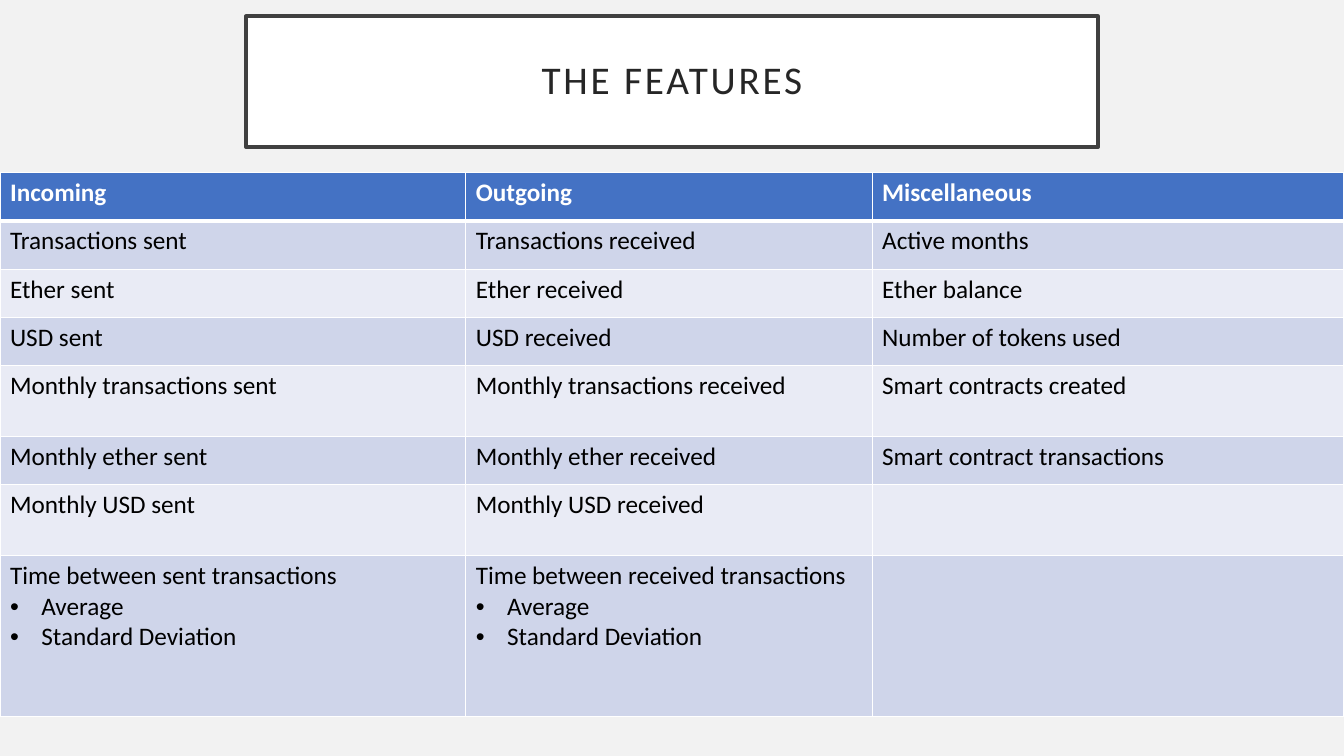
from dataclasses import dataclass

from lxml.etree import SubElement as Sub
from pptx import Presentation
from pptx.dml.color import RGBColor as RGB
from pptx.enum.text import MSO_ANCHOR as Anchor, MSO_AUTO_SIZE as Fit, PP_ALIGN as Align
from pptx.oxml.ns import qn
from pptx.table import _Cell as Cell
from pptx.text.text import TextFrame as Frame, _Paragraph as Para
from pptx.util import Inches, Pt

WIDE, HIGH = 13.33, 7.5
HUES = {
    "back": "F2F2F2", "white": "FFFFFF", "frame": "404040", "title": "262626",
    "head": "4472C4", "odd": "CFD5EA", "even": "E9EBF5", "text": "000000",
}
BULLET = "• "
STATS = (BULLET + "Average", BULLET + "Standard Deviation")
COLS = (4.62, 4.03, 4.68)


@dataclass(frozen=True)
class Row:
    cells: tuple[str, str, str]
    high: float = 0.48


ROWS = (
    Row(("Incoming", "Outgoing", "Miscellaneous")),
    Row(("Transactions sent", "Transactions received", "Active months")),
    Row(("Ether sent", "Ether received", "Ether balance")),
    Row(("USD sent", "USD received", "Number of tokens used")),
    Row(("Monthly transactions sent", "Monthly transactions received",
         "Smart contracts created"), 0.7),
    Row(("Monthly ether sent", "Monthly ether received", "Smart contract transactions")),
    Row(("Monthly USD sent", "Monthly USD received", ""), 0.7),
    Row(("\n".join(("Time between sent transactions", *STATS)),
         "\n".join(("Time between received transactions", *STATS)), ""), 1.6),
)


def hue(name: str) -> RGB:
    return RGB.from_string(HUES[name])


def indent(para: Para) -> None:
    """Give the paragraph a hanging bullet."""
    props = para._p.get_or_add_pPr()
    props.set("marL", str(Inches(0.31)))
    props.set("indent", str(-Inches(0.31)))
    Sub(props, qn("a:buFont"), typeface="Arial")
    Sub(props, qn("a:buChar"), char=BULLET.strip())


def write(frame: Frame, text: str, *, size: float = 18, color: str = "text",
          bold: bool = False, align: Align = Align.LEFT,
          line: float = 1.0, track: float = 0) -> None:
    for i, part in enumerate(text.split("\n")):
        para = frame.add_paragraph() if i else frame.paragraphs[0]
        para.alignment, para.line_spacing = align, line
        if part.startswith(BULLET):
            indent(para)
        run = para.add_run()
        run.text = part.removeprefix(BULLET)
        font = run.font
        font.name, font.size, font.bold = "Calibri", Pt(size), bold
        font.color.rgb = hue(color)
        if track:
            run._r.get_or_add_rPr().set("spc", str(int(track * 100)))


def edge(cell: Cell, **widths: float) -> None:
    """Draw white cell borders, given in points by side."""
    props = cell._tc.get_or_add_tcPr()
    for side, width in widths.items():
        line = Sub(props, qn(f"a:ln{side}"), w=str(Pt(width)))
        Sub(Sub(line, qn("a:solidFill")), qn("a:srgbClr"), val=HUES["white"])


def main() -> None:
    deck = Presentation()
    deck.slide_width, deck.slide_height = Inches(WIDE), Inches(HIGH)
    slide = deck.slides.add_slide(deck.slide_layouts[5])
    back = slide.background.fill
    back.solid()
    back.fore_color.rgb = hue("back")

    title = slide.shapes.title
    title.left, title.top = Inches(2.44), Inches(0.16)
    title.width, title.height = Inches(8.45), Inches(1.3)
    title.fill.solid()
    title.fill.fore_color.rgb = hue("white")
    title.line.color.rgb = hue("frame")
    title.line.width = Pt(2.5)
    frame = title.text_frame
    frame.auto_size, frame.vertical_anchor = Fit.NONE, Anchor.MIDDLE
    frame.margin_left = frame.margin_right = Inches(0.2)
    frame.margin_top = frame.margin_bottom = Inches(0.2)
    write(frame, "THE FEATURES", size=28, color="title", align=Align.CENTER,
          line=0.9, track=2)

    high = sum(row.high for row in ROWS)
    table = slide.shapes.add_table(len(ROWS), len(COLS), 0, Inches(1.71),
                                   Inches(WIDE), Inches(high)).table
    for col, wide in zip(table.columns, COLS):
        col.width = Inches(wide)
    for r, row in enumerate(ROWS):
        table.rows[r].height = Inches(row.high)
        head = r == 0
        fill = "head" if head else "odd" if r % 2 else "even"
        for c, text in enumerate(row.cells):
            cell = table.cell(r, c)
            edge(cell, L=1, R=1, T=3 if r == 1 else 1, B=3 if head else 1)
            cell.fill.solid()
            cell.fill.fore_color.rgb = hue(fill)
            if text:
                write(cell.text_frame, text, color="white" if head else "text", bold=head)
    deck.save("out.pptx")


if __name__ == "__main__":
    main()
